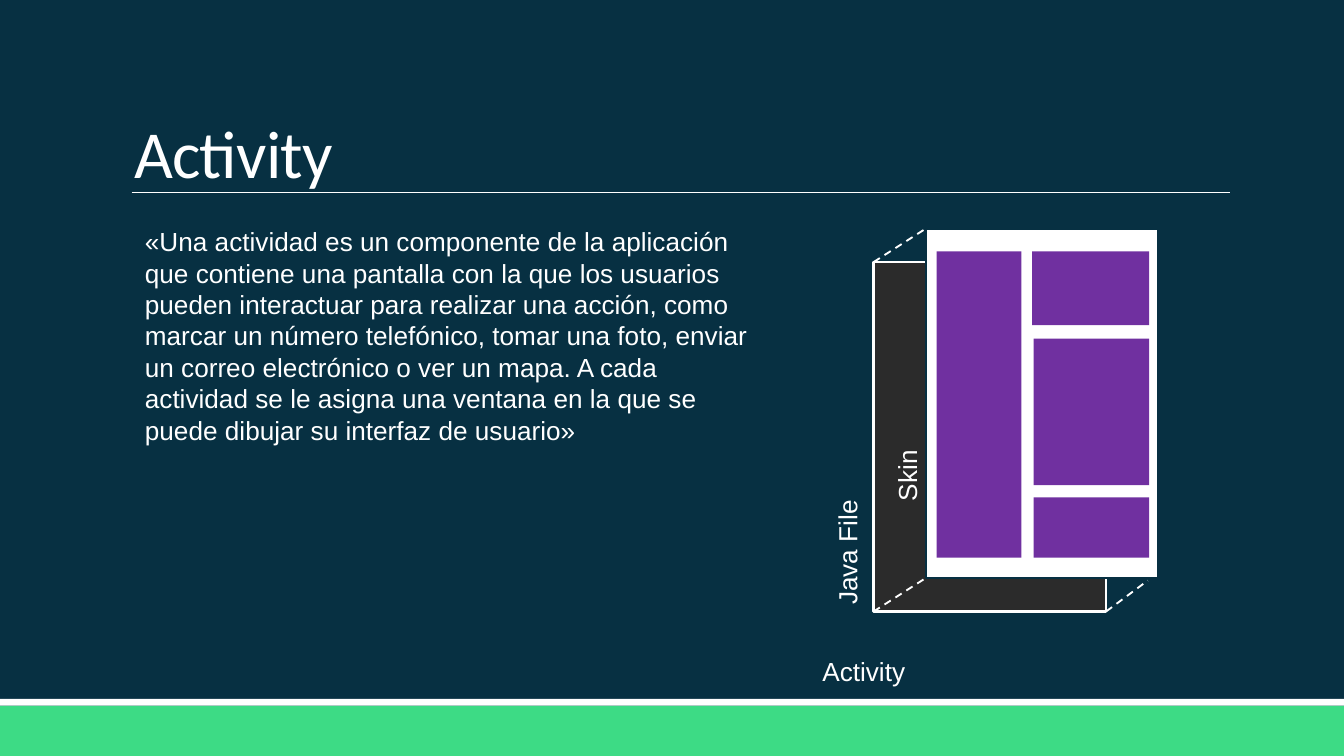
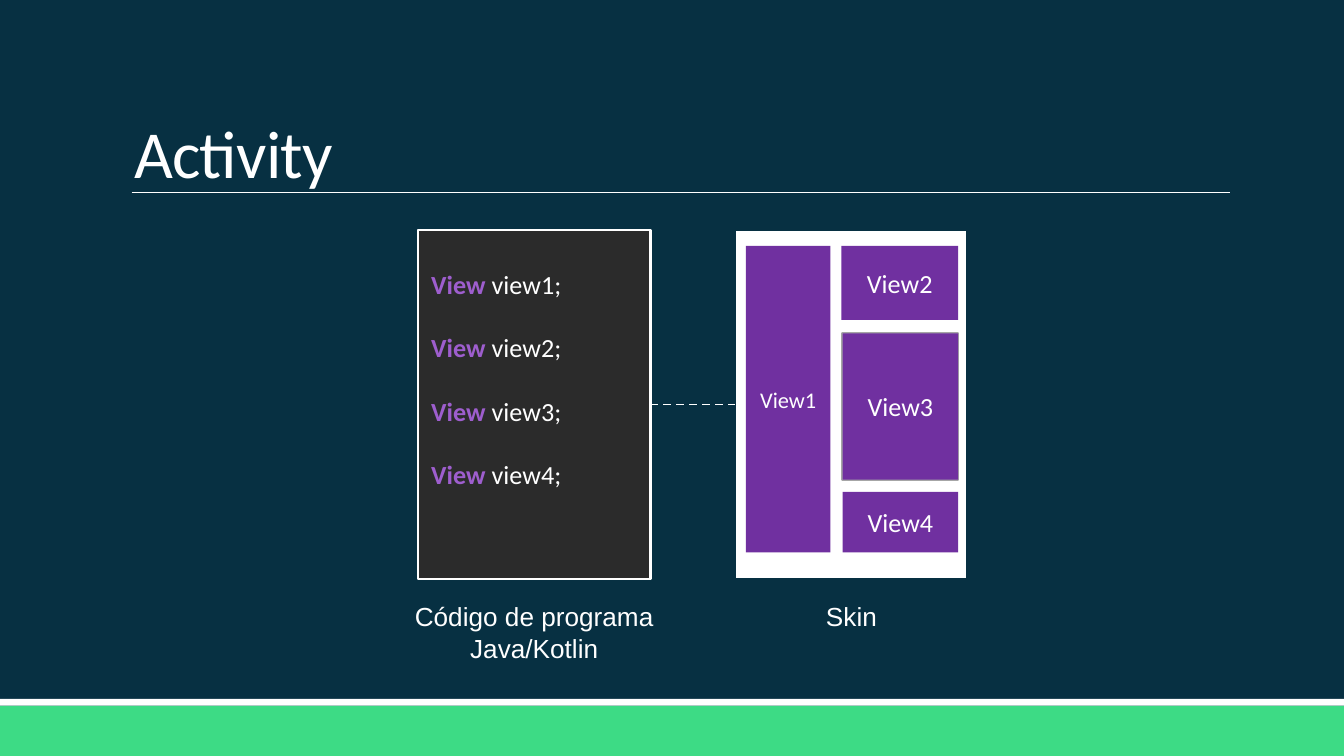
from lxml import etree
from pptx import Presentation
from pptx.dml.color import RGBColor
from pptx.enum.dml import MSO_LINE
from pptx.enum.shapes import MSO_CONNECTOR, MSO_SHAPE
from pptx.enum.text import MSO_ANCHOR, MSO_AUTO_SIZE, PP_ALIGN
from pptx.oxml.ns import qn
from pptx.util import Inches, Pt

RECT = MSO_SHAPE.RECTANGLE
STRAIGHT = MSO_CONNECTOR.STRAIGHT
DASH = MSO_LINE.DASH
TOP, MIDDLE, BOTTOM = MSO_ANCHOR.TOP, MSO_ANCHOR.MIDDLE, MSO_ANCHOR.BOTTOM
LEFT, CENTER = PP_ALIGN.LEFT, PP_ALIGN.CENTER
GROW = MSO_AUTO_SIZE.SHAPE_TO_FIT_TEXT

COLORS = {
    "navy": "073042", "green": "3DDB85", "white": "FFFFFF", "code": "2B2B2B",
    "purple": "7030A0", "lilac": "9E5ECE", "gray": "A6A6A6",
}
BODY = {"name": "Arial", "size": Pt(14), "bold": False}
LABEL = {**BODY, "name": "Calibri"}
SMALL = {**LABEL, "size": Pt(12)}
STRONG = {**LABEL, "bold": True}
TITLE = {**LABEL, "size": Pt(36)}

PANEL = (1.73, 2.6)  # width and height of the code and skin panels
# View blocks: left, top, width, height within the block area
BLOCKS = [
    (0, 0, 0.63, 2.28),
    (0.71, 0, 0.87, 0.55),
    (0.72, 0.65, 0.86, 1.09),
    (0.72, 1.83, 0.86, 0.45),
]


def rgb(name):
    return RGBColor.from_string(COLORS[name])


def style(target, values):
    for key, value in values.items():
        setattr(target, key, value)


def write(para, text, font, color="white"):
    run = para.add_run()
    run.text = text
    style(run.font, font)
    run.font.color.rgb = rgb(color)
    return run


def box(slide, at, fill, line=None):
    shape = slide.shapes.add_shape(RECT, *map(Inches, at))
    shape.shadow.inherit = False
    shape.fill.solid()
    shape.fill.fore_color.rgb = rgb(fill)
    if line:
        shape.line.color.rgb = rgb(line)
        shape.line.width = Pt(1.25)
    else:
        shape.line.fill.background()
    return shape


def rule(slide, start, end, width=1, dash=None):
    line = slide.shapes.add_connector(STRAIGHT, *map(Inches, start + end))
    line.line.color.rgb = rgb("white")
    style(line.line, {"width": Pt(width), "dash_style": dash})
    etree.SubElement(line._element.spPr, qn("a:effectLst"))
    return line


def note(slide, at, lines, align=LEFT, turn=0):
    shape = slide.shapes.add_textbox(*map(Inches, at))
    shape.rotation = turn
    frame = shape.text_frame
    style(frame, {"word_wrap": not turn, "auto_size": GROW})
    for i, text in enumerate(lines):
        para = frame.add_paragraph() if i else frame.paragraphs[0]
        para.alignment = align
        write(para, text, BODY)


def base(deck, title):
    """Blank slide with the footer bands, title and title rule."""
    slide = deck.slides.add_slide(deck.slide_layouts[6])
    box(slide, (0, 5.25, 10, 0.38), "green")
    box(slide, (0, 5.2, 10, 0.05), "white")
    rule(slide, (0.98, 1.43), (9.15, 1.43), 0.5)
    frame = slide.shapes.add_textbox(*map(Inches, (0.9, 0.24, 8.25, 1.19))).text_frame
    style(frame, {"word_wrap": True, "vertical_anchor": BOTTOM, "margin_bottom": 0})
    run = write(frame.paragraphs[0], title, TITLE)
    run._r.get_or_add_rPr().set("spc", "-40")
    return slide


def skin(slide, x, y, drop, names=()):
    """White screen panel whose view blocks start at the given drop."""
    panel = box(slide, (x, y, *PANEL), "white", "navy")
    spots = [(x + 0.08 + a, y + drop + b, w, h) for a, b, w, h in BLOCKS]
    if names:
        box(slide, spots[2], "gray", "gray")
    blocks = [box(slide, spot, "purple") for spot in spots]
    for i, (block, name) in enumerate(zip(blocks, names)):
        frame = block.text_frame
        style(frame, {"word_wrap": True, "vertical_anchor": MIDDLE})
        frame.paragraphs[0].alignment = CENTER
        write(frame.paragraphs[0], name, LABEL if i else SMALL)
    return panel


def code(slide, x, y, names):
    """Dark panel with one declaration for each view."""
    panel = box(slide, (x, y, *PANEL), "code", "white")
    frame = panel.text_frame
    style(frame, {"word_wrap": True, "vertical_anchor": TOP, "margin_top": Inches(0.29)})
    for i, name in enumerate(names):
        para = frame.add_paragraph() if i else frame.paragraphs[0]
        style(para, {"alignment": LEFT, "space_after": Pt(17)})
        write(para, "View", STRONG, "lilac")
        write(para, f" {name.lower()};", LABEL)
    return panel


def stack(slide, x, y):
    """Skin panel in front of the Java panel, joined at the corners."""
    wide, high = PANEL
    back = (x, y + 0.25)
    front = (x + 0.39, y)
    box(slide, (*back, *PANEL), "code", "white")
    skin(slide, *front, 0.17)
    low = back[1] + high
    rule(slide, back, front, dash=DASH)
    rule(slide, (x, low), (front[0], y + high), dash=DASH)
    rule(slide, (x + wide, low), (x + 2.04, y + 2.62), dash=DASH)
    note(slide, (x - 0.69, y + 2.24, 0.99, 0.34), ["Java File"], CENTER, 270)
    note(slide, (x - 0.04, y + 1.67, 0.58, 0.34), ["Skin"], CENTER, 270)
    note(slide, (x - 0.48, y + 3.13, 1.62, 0.34), ["Activity"])


def pair(slide, x, y):
    """Code panel linked to its skin, with captions below."""
    names = [f"View{i}" for i in range(1, 5)]
    left = code(slide, x, y, names)
    right = skin(slide, x + 2.36, y, 0.12, names)
    mid = y + PANEL[1] / 2
    link = rule(slide, (x + PANEL[0], mid), (x + 2.36, mid), dash=DASH)
    link.begin_connect(left, 3)
    link.end_connect(right, 1)
    note(slide, (x - 0.38, y + 2.71, 2.49, 0.57),
         ["Código de programa", "Java/Kotlin"], CENTER)
    note(slide, (x + 1.98, y + 2.71, 2.49, 0.34), ["Skin"], CENTER)


def main():
    deck = Presentation()
    style(deck, {"slide_width": Inches(10), "slide_height": Inches(10) * 9 // 16})
    back = deck.slide_master.background.fill
    back.solid()
    back.fore_color.rgb = rgb("navy")

    # Definition
    slide = base(deck, "Activity")
    note(slide, (0.98, 1.63, 4.8, 1.99), [
        "«Una actividad es un componente de la aplicación que contiene una "
        "pantalla con la que los usuarios pueden interactuar para realizar una "
        "acción, como marcar un número telefónico, tomar una foto, enviar un "
        "correo electrónico o ver un mapa. A cada actividad se le asigna una "
        "ventana en la que se puede dibujar su interfaz de usuario»"])
    stack(slide, 6.5, 1.7)

    # Code and skin
    pair(base(deck, "Activity"), 3.11, 1.71)
    deck.save("out.pptx")


if __name__ == "__main__":
    main()
